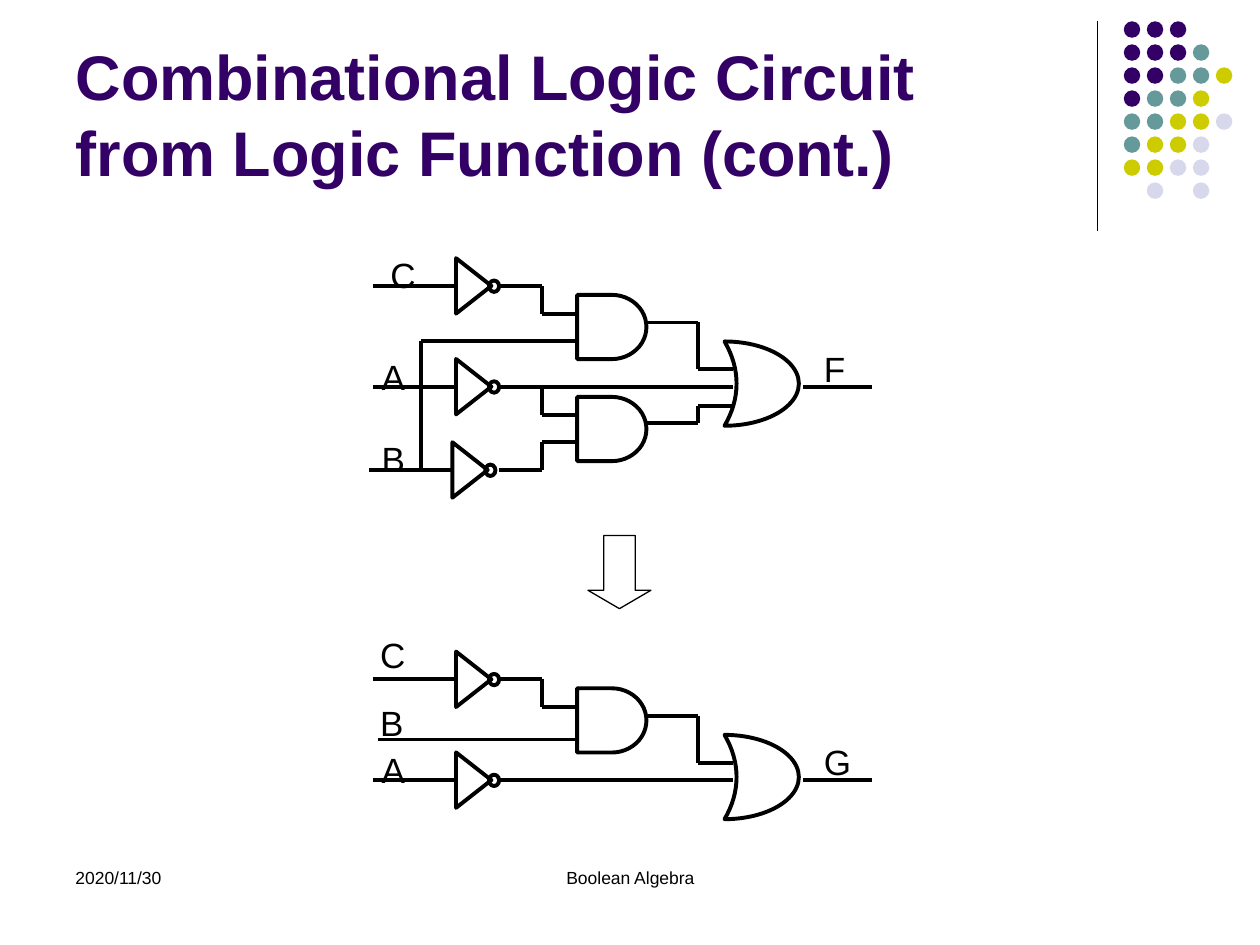
from typing import NamedTuple

from lxml import etree
from pptx import Presentation
from pptx.dml.color import RGBColor
from pptx.enum.shapes import MSO_CONNECTOR, MSO_SHAPE
from pptx.enum.text import MSO_ANCHOR, MSO_AUTO_SIZE, PP_ALIGN
from pptx.oxml.ns import qn
from pptx.util import Pt

STRAIGHT = MSO_CONNECTOR.STRAIGHT
OVAL = MSO_SHAPE.OVAL
TRIANGLE = MSO_SHAPE.ISOSCELES_TRIANGLE
DELAY = MSO_SHAPE.FLOWCHART_DELAY
MOON = MSO_SHAPE.MOON
DOWN_ARROW = MSO_SHAPE.DOWN_ARROW
BOTTOM = MSO_ANCHOR.BOTTOM
LEFT, CENTER = PP_ALIGN.LEFT, PP_ALIGN.CENTER
GROW = MSO_AUTO_SIZE.SHAPE_TO_FIT_TEXT

BLACK = RGBColor(0x00, 0x00, 0x00)
PURPLE = RGBColor(0x33, 0x00, 0x66)
TEAL = RGBColor(0x66, 0x99, 0x99)
LIME = RGBColor(0xCC, 0xCC, 0x00)
LILAC = RGBColor(0xD8, 0xD8, 0xEC)

DOT_COLORS = {"p": PURPLE, "t": TEAL, "y": LIME, "l": LILAC}
DOT_ROWS = ["ppp", "pppt", "pptty", "ptty", "ttyyl", "tyyl", "yyll", " l l"]
DOT_LEFT, DOT_TOP, DOT_PITCH, DOT_SIZE = 642.2, 12.2, 13.15, 9.4

GATE_LINE, RISER_LINE = 2.25, 2
CIRCUIT_GAP = 224.8
C_ROW, A_ROW, B_ROW = 163.4, 221, 268.6
INPUT_X, BUBBLE_X, BEND_X, AND_X = 213, 285.1, 309.6, 329.8
AND_OUT_X, OR_BEND_X, OR_X = 369.4, 398.9, 419
BRANCH_X = 240.5


class Inverter(NamedTuple):
    x: float
    y: float


class Label(NamedTuple):
    text: str
    left: float
    top: float


class Circuit(NamedTuple):
    offset: float
    inverters: list
    and_tops: list
    routes: list
    labels: list


SHARED_INVERTERS = [Inverter(270.7, C_ROW), Inverter(270.7, A_ROW)]
SHARED_ROUTES = [
    [(INPUT_X, C_ROW), (260.6, C_ROW)],
    [(INPUT_X, A_ROW), (260.6, A_ROW)],
    [(BUBBLE_X, C_ROW), (BEND_X, C_ROW), (BEND_X, 179.3), (AND_X, 179.3)],
    [(BUBBLE_X, A_ROW), (BEND_X, A_ROW), (OR_X, A_ROW)],
    [(AND_OUT_X, 184.3), (OR_BEND_X, 184.3), (OR_BEND_X, 211), (OR_X, 211)],
    [(458.6, A_ROW), (498.2, A_ROW)],
]
CIRCUITS = [
    Circuit(
        0,
        SHARED_INVERTERS + [Inverter(268.6, B_ROW)],
        [168.5, 226.8],
        SHARED_ROUTES + [
            [(211, B_ROW), (258.5, B_ROW)],
            [(BRANCH_X, B_ROW), (BRANCH_X, 195.1), (AND_X, 195.1)],
            [(BEND_X, A_ROW), (BEND_X, 236.9), (AND_X, 236.9)],
            [(BUBBLE_X, B_ROW), (BEND_X, B_ROW), (BEND_X, 252.7), (AND_X, 252.7)],
            [(AND_OUT_X, 241.9), (OR_BEND_X, 241.9), (OR_BEND_X, 231.8), (OR_X, 231.8)],
        ],
        [Label("A", 211, 199.4), Label("B", 211, 246.2),
         Label("C", 216, 141.1), Label("F", 463.7, 195.1)],
    ),
    Circuit(
        CIRCUIT_GAP,
        SHARED_INVERTERS,
        [168.5],
        SHARED_ROUTES + [[(216, 197.8), (AND_X, 197.8)]],
        [Label("A", 211, 424.1), Label("B", 210.2, 397.4),
         Label("C", 210.2, 358.6), Label("G", 463.7, 419.8)],
    ),
]


def add_line(page, start: tuple, end: tuple, width: float) -> None:
    line = page.shapes.add_connector(STRAIGHT, *map(Pt, start + end))
    line.line.color.rgb = BLACK
    line.line.width = Pt(width)
    etree.SubElement(line._element.spPr, qn("a:effectLst"))


def add_route(page, points: list, offset: float) -> None:
    placed = [(x, y + offset) for x, y in points]
    for start, end in zip(placed, placed[1:]):
        add_line(page, start, end, RISER_LINE if start[0] == end[0] else GATE_LINE)


def add_outline(page, kind, left: float, top: float, width: float, height: float,
                line_width: float = GATE_LINE, rotation: float = 0,
                adjustments: tuple = ()) -> None:
    shape = page.shapes.add_shape(kind, Pt(left), Pt(top), Pt(width), Pt(height))
    shape.shadow.inherit = False
    shape.fill.background()
    shape.line.color.rgb = BLACK
    shape.line.width = Pt(line_width)
    shape.rotation = rotation
    for index, value in enumerate(adjustments):
        shape.adjustments[index] = value


def write_text(box, text: str, *, size: float, color=BLACK, bold: bool = False,
               align=LEFT) -> None:
    box.text_frame.word_wrap = True
    para = box.text_frame.paragraphs[0]
    para.text = text
    para.alignment = align
    for span in para.runs:
        span.font.name = "Arial"
        span.font.size = Pt(size)
        span.font.bold = bold
        span.font.color.rgb = color


def add_text(page, text: str, left: float, top: float, width: float, height: float,
             **text_format):
    box = page.shapes.add_textbox(Pt(left), Pt(top), Pt(width), Pt(height))
    write_text(box, text, **text_format)
    return box


def add_title(page) -> None:
    title = page.shapes.title
    title.left, title.top, title.width, title.height = map(Pt, (36, 9.4, 594, 102.2))
    title.text_frame.vertical_anchor = BOTTOM
    title.text_frame.auto_size = MSO_AUTO_SIZE.NONE
    write_text(title, "Combinational Logic Circuit\vfrom Logic Function (cont.)",
               size=36, color=PURPLE, bold=True)


def add_dots(page) -> None:
    for row, codes in enumerate(DOT_ROWS):
        for column, code in enumerate(codes):
            if code not in DOT_COLORS:
                continue
            dot = page.shapes.add_shape(
                OVAL, Pt(DOT_LEFT + column * DOT_PITCH), Pt(DOT_TOP + row * DOT_PITCH),
                Pt(DOT_SIZE), Pt(DOT_SIZE))
            dot.shadow.inherit = False
            dot.fill.solid()
            dot.fill.fore_color.rgb = DOT_COLORS[code]
            dot.line.fill.background()


def add_inverter(page, inverter: Inverter, offset: float) -> None:
    y = inverter.y + offset
    add_outline(page, TRIANGLE, inverter.x - 15.85, y - 10.1, 31.7, 20.2, rotation=90)
    add_outline(page, OVAL, inverter.x + 8.7, y - 3.1, 5.8, 6.5)


def add_circuit(page, circuit: Circuit) -> None:
    for route in circuit.routes:
        add_route(page, route, circuit.offset)
    for inverter in circuit.inverters:
        add_inverter(page, inverter, circuit.offset)
    for top in circuit.and_tops:
        add_outline(page, DELAY, AND_X, top + circuit.offset, 39.6, 36.7)
    add_outline(page, MOON, 414, 195.1 + circuit.offset, 42.5, 48.2,
                rotation=180, adjustments=(0.838,))
    for label in circuit.labels:
        box = add_text(page, label.text, label.left, label.top, 29.5, 31, size=20)
        box.text_frame.auto_size = GROW


def main() -> None:
    deck = Presentation()
    deck.slide_width, deck.slide_height = Pt(720), Pt(540)
    page = deck.slides.add_slide(deck.slide_layouts[5])
    add_line(page, (627.1, 12.2), (627.1, 131.8), 0.75)
    add_dots(page)
    add_title(page)
    add_text(page, "2020/11/30", 36, 491.8, 168, 36, size=10)
    add_text(page, "Boolean Algebra", 246.2, 491.8, 228, 36, size=10, align=CENTER)
    for circuit in CIRCUITS:
        add_circuit(page, circuit)
    add_outline(page, DOWN_ARROW, 336, 306, 36, 41.8, line_width=0.75,
                adjustments=(0.5, 0.292))
    deck.save("out.pptx")


if __name__ == "__main__":
    main()
